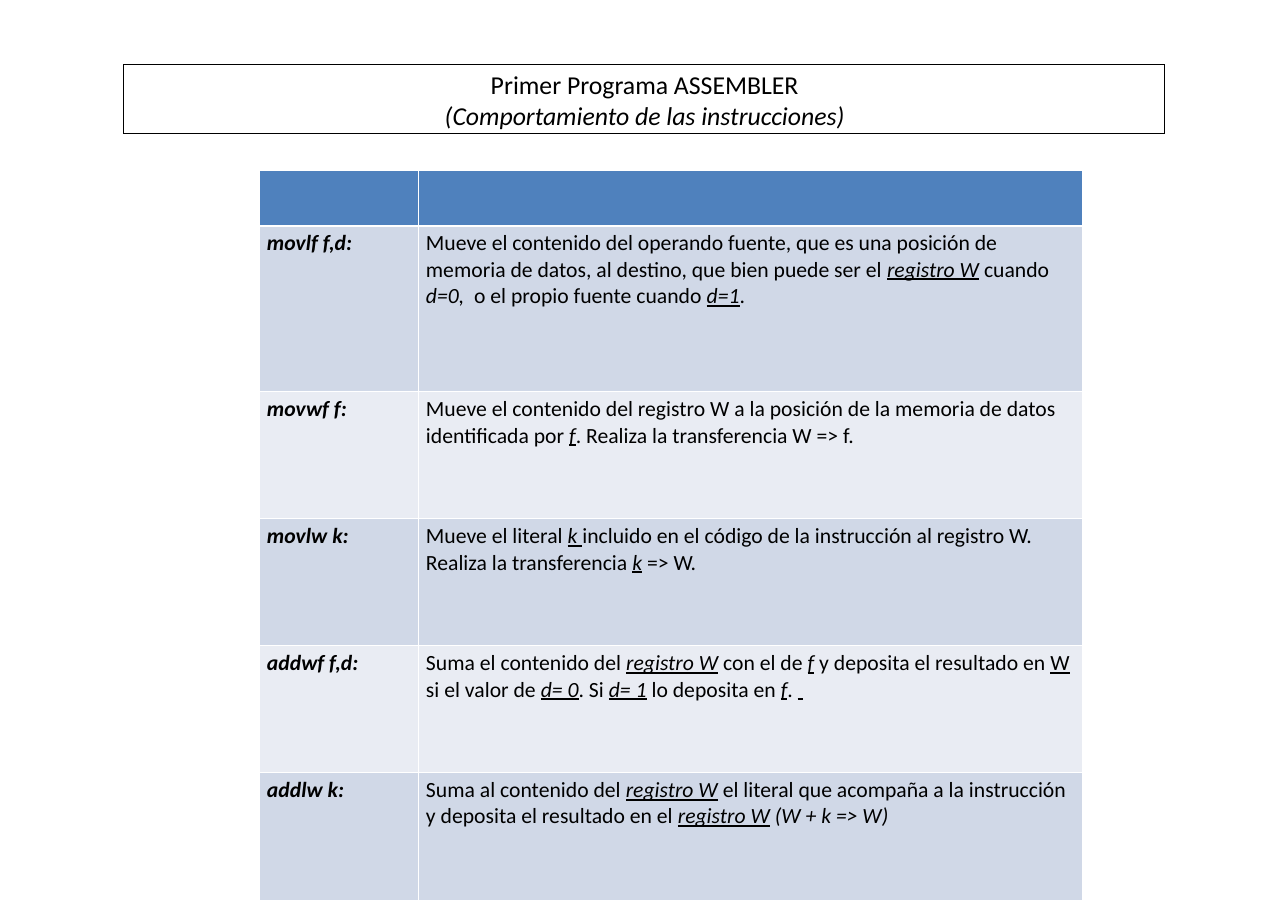
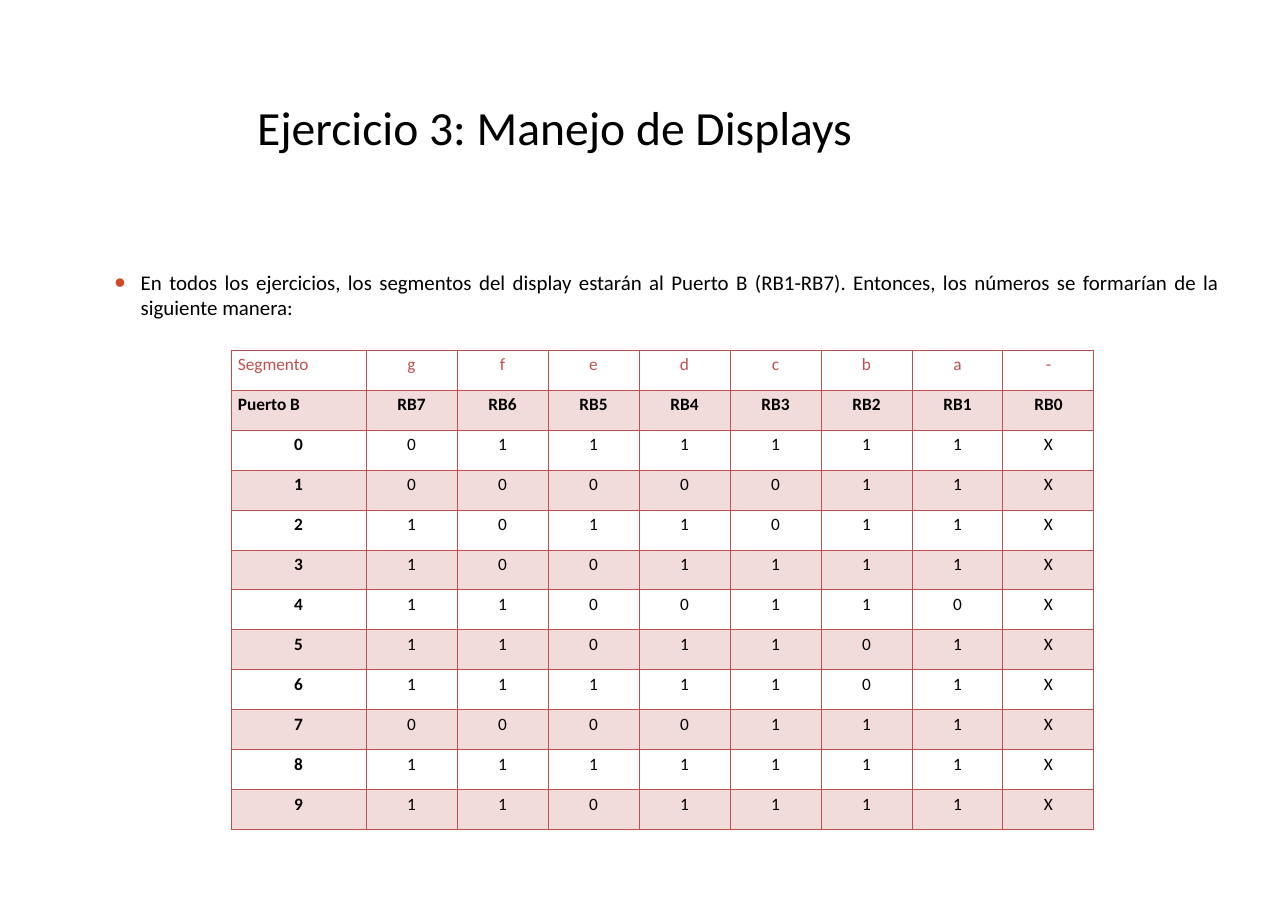
from lxml.etree import SubElement
from pptx import Presentation
from pptx.dml.color import RGBColor
from pptx.enum.text import MSO_ANCHOR, MSO_AUTO_SIZE, PP_ALIGN
from pptx.oxml.ns import qn
from pptx.util import Pt

SCALE = 11738
FONT = "Calibri"
COLORS = {
    "black": "000000",
    "white": "FFFFFF",
    "header": "4F81BD",
    "band_dark": "D0D8E7",
    "band_light": "E9ECF3",
    "red": "C0504D",
    "pink": "F2DCDB",
    "bullet": "D24726",
}

INSTRUCTIONS = [
    ("movlf f,d:", "Mueve el contenido del operando fuente, que es una posición de memoria de datos, "
     "al destino, que bien puede ser el *_registro W_* cuando *d=0, * o el propio fuente cuando *_d=1_*."),
    ("movwf f:", "Mueve el contenido del registro W a la posición de la memoria de datos "
     "identificada por *_f_*. Realiza la transferencia W => f."),
    ("movlw k:", "Mueve el literal *_k _*incluido en el código de la instrucción al registro W. "
     "Realiza la transferencia *_k_* => W."),
    ("addwf f,d:", "Suma el contenido del *_registro W_* con el de *_f_* y deposita el resultado en _W_ "
     "si el valor de *_d= 0_*. Si *_d= 1_* lo deposita en *_f_*. *_ _* "),
    ("addlw k:", "Suma al contenido del *_registro W_* el literal que acompaña a la instrucción "
     "y deposita el resultado en el *_registro W_* *(W + k => W)*"),
]
SEGMENTS = "gfedcba-"
DIGITS = [
    "0111111X", "0000011X", "1011011X", "1001111X", "1100110X",
    "1101101X", "1111101X", "0000111X", "1111111X", "1101111X",
]


def px(value):
    return value * SCALE


def rgb(name):
    return RGBColor.from_string(COLORS[name])


class Deck:
    def __init__(self, width, height):
        self.presentation = Presentation()
        self.presentation.slide_width = px(width)
        self.presentation.slide_height = px(height)
        self.slide = None

    def add_slide(self):
        self.slide = self.presentation.slides.add_slide(self.presentation.slide_layouts[5])

    def style(self, run, size, color="black", bold=False, italic=False, underline=False):
        font = run.font
        font.name, font.size, font.color.rgb = FONT, Pt(size), rgb(color)
        font.bold, font.italic, font.underline = bold, italic, underline

    def place(self, shape, left, top, width, height):
        shape.left, shape.top = px(left), px(top)
        shape.width, shape.height = px(width), px(height)

    def title(self, text, box, size, framed=False):
        shape = self.slide.shapes.title
        self.place(shape, *box)
        frame = shape.text_frame
        frame.text = text
        frame.word_wrap = True
        frame.auto_size = MSO_AUTO_SIZE.NONE
        frame.vertical_anchor = MSO_ANCHOR.MIDDLE
        paragraph = frame.paragraphs[0]
        paragraph.alignment = PP_ALIGN.CENTER
        for index, run in enumerate(paragraph.runs):
            self.style(run, size, italic=index > 0)
        if framed:
            shape.line.color.rgb = rgb("black")
            shape.line.width = Pt(0)

    def bullet(self, text, box, size, indent):
        frame = self.slide.shapes.add_textbox(*map(px, box)).text_frame
        frame.word_wrap = True
        paragraph = frame.paragraphs[0]
        paragraph.text = text
        paragraph.alignment = PP_ALIGN.JUSTIFY
        properties = paragraph._p.get_or_add_pPr()
        properties.set("marL", str(px(indent)))
        properties.set("indent", str(-px(indent)))
        color = SubElement(properties, qn("a:buClr"))
        SubElement(color, qn("a:srgbClr"), val=COLORS["bullet"])
        SubElement(properties, qn("a:buSzPct"), val="150000")
        SubElement(properties, qn("a:buFont"), typeface="Arial")
        SubElement(properties, qn("a:buChar"), char="•")
        self.style(paragraph.runs[0], size)

    def table(self, left, top, columns, rows):
        frame = self.slide.shapes.add_table(
            len(rows), len(columns), px(left), px(top), px(sum(columns)), px(sum(rows)))
        table = frame.table
        table.first_row = table.horz_banding = False
        for column, width in zip(table.columns, columns):
            column.width = px(width)
        for row, height in zip(table.rows, rows):
            row.height = px(height)
        return table

    def cell(self, cell, border, fill=None, margin=8, thick=None):
        cell.margin_left = cell.margin_right = px(margin)
        cell.margin_top = cell.margin_bottom = px(4)
        properties = cell._tc.get_or_add_tcPr()
        for side in "LRTB":
            width = Pt(3 if side == thick else 0.96)
            line = SubElement(properties, qn("a:ln" + side), w=str(width))
            solid = SubElement(line, qn("a:solidFill"))
            SubElement(solid, qn("a:srgbClr"), val=COLORS[border])
        if fill:
            cell.fill.solid()
            cell.fill.fore_color.rgb = rgb(fill)
        else:
            cell.fill.background()

    def cell_text(self, cell, text, size, align=PP_ALIGN.LEFT, **style):
        paragraph = cell.text_frame.paragraphs[0]
        paragraph.text = text
        paragraph.alignment = align
        self.style(paragraph.runs[0], size, **style)

    def marked_text(self, cell, text, size):
        paragraph = cell.text_frame.paragraphs[0]
        for outer, part in enumerate(text.split("*")):
            for inner, piece in enumerate(part.split("_")):
                if piece:
                    run = paragraph.add_run()
                    run.text = piece
                    self.style(run, size, italic=outer % 2 == 1, underline=inner % 2 == 1)


def instructions_slide(deck):
    deck.add_slide()
    deck.title("Primer Programa ASSEMBLER\v(Comportamiento de las instrucciones)",
               (124, 65, 1041, 69), 23.8, framed=True)
    table = deck.table(259, 170, [159, 664], [56, 166, 127, 127, 127, 128])
    for column in range(2):
        deck.cell(table.cell(0, column), "white", "header", thick="B")
    for row, (name, description) in enumerate(INSTRUCTIONS, 1):
        fill = "band_dark" if row % 2 else "band_light"
        for column in range(2):
            deck.cell(table.cell(row, column), "white", fill, thick="T" if row == 1 else None)
        deck.cell_text(table.cell(row, 0), name, 20, bold=True, italic=True)
        deck.marked_text(table.cell(row, 1), description, 20)


def displays_slide(deck):
    deck.add_slide()
    deck.title("Ejercicio 3: Manejo de Displays", (83, 62, 944, 129), 44)
    deck.bullet("En todos los ejercicios, los segmentos del display estarán al Puerto B (RB1-RB7). "
                "Entonces, los números se formarían de la siguiente manera:",
                (107, 266, 1120, 111), 19.3, 26)
    rows = [["Segmento", *SEGMENTS], ["Puerto B", *(f"RB{bit}" for bit in range(7, -1, -1))]]
    rows += [[str(digit), *bits] for digit, bits in enumerate(DIGITS)]
    table = deck.table(231, 350, [135] + [91] * 8, [40] * len(rows))
    for row, values in enumerate(rows):
        for column, value in enumerate(values):
            cell = table.cell(row, column)
            deck.cell(cell, "red", "pink" if row % 2 else None, margin=7)
            deck.cell_text(
                cell, value, 16,
                align=PP_ALIGN.LEFT if row < 2 and column == 0 else PP_ALIGN.CENTER,
                color="black" if row else "red",
                bold=row == 1 or (row > 1 and column == 0))


def main():
    deck = Deck(1288, 911)
    instructions_slide(deck)
    displays_slide(deck)
    deck.presentation.save("out.pptx")


if __name__ == "__main__":
    main()
